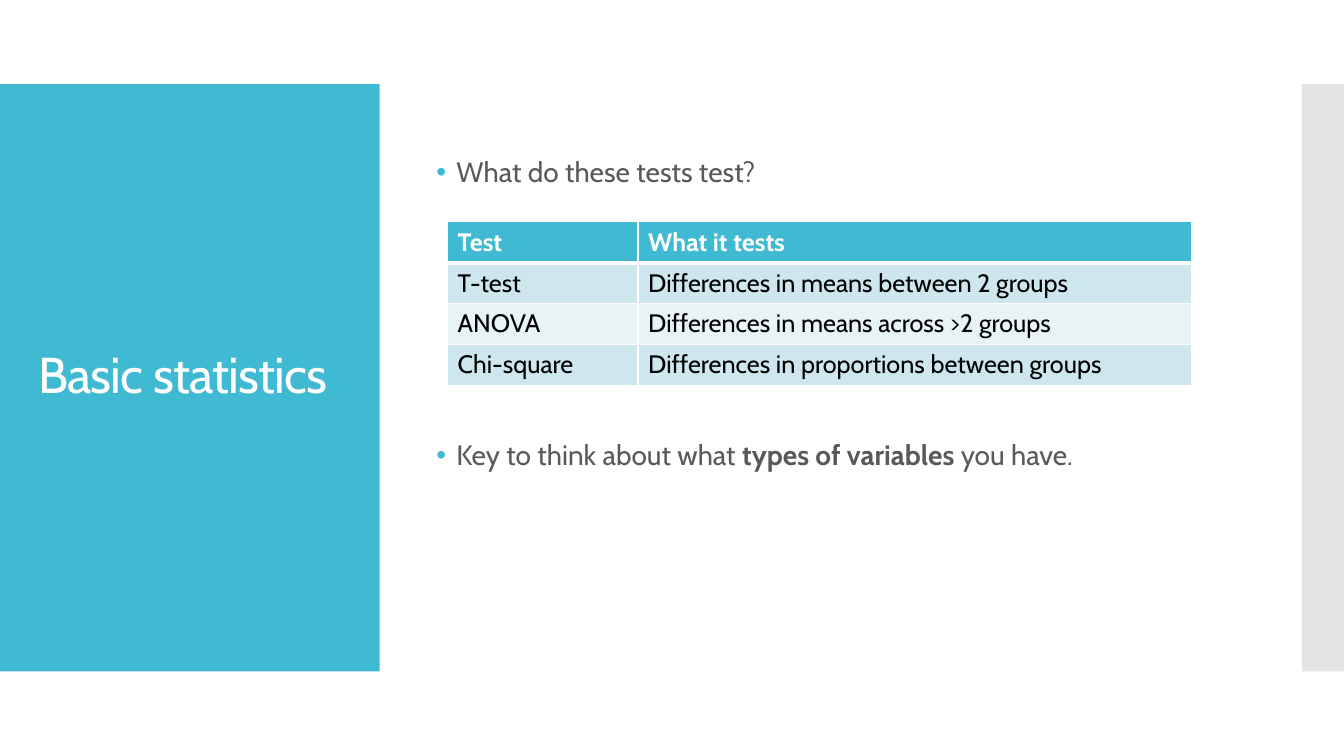
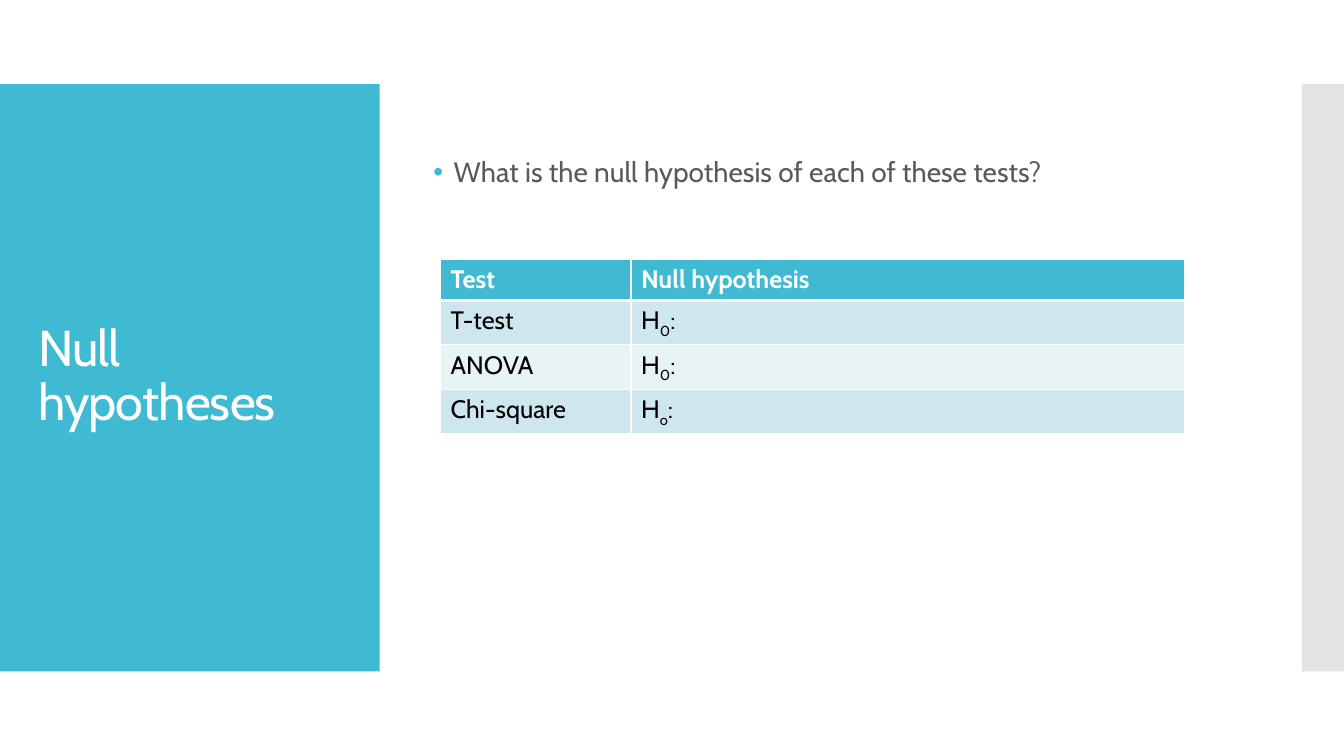
import pptx
import pptx.dml.color
import pptx.enum.shapes
import pptx.enum.text
import pptx.oxml
import pptx.oxml.ns
import pptx.util

Cm = pptx.util.Cm
Pt = pptx.util.Pt
FONT = "Cabin"
COLOURS = {
    "accent": "40BAD2", "edge": "C8C8C8", "white": "FFFFFF", "text": "595959",
    "black": "000000", "odd_row": "CEE6EE", "even_row": "E8F3F6",
}
NAMESPACE = pptx.oxml.ns.nsdecls("a")


def colour(name):
    return pptx.dml.color.RGBColor.from_string(COLOURS[name])


class Deck:
    """Holds the presentation, the shared style and the current slide."""

    title_font = {"name": FONT, "size": Pt(36), "bold": False}
    body_font = {"name": FONT, "size": Pt(20), "bold": False}
    cell_font = {"name": FONT, "size": Pt(18), "bold": False}
    column_widths = (Cm(4.8), Cm(13.95))
    row_height = Cm(1.03)
    band_top, band_height = Cm(2.12), Cm(14.8)

    def __init__(self):
        self.presentation = pptx.Presentation()
        self.presentation.slide_width = Cm(33.87)
        self.presentation.slide_height = Cm(19.05)
        self.slide = None

    def add_slide(self, title):
        layout = self.presentation.slide_layouts[1]
        self.slide = self.presentation.slides.add_slide(layout)
        self.add_band(Cm(0), Cm(9.57), "accent")
        self.add_band(Cm(32.81), Cm(1.06), "edge", opacity=50)
        self.add_title(title)

    def add_band(self, left, width, fill, opacity=100):
        shape = self.slide.shapes.add_shape(
            pptx.enum.shapes.MSO_SHAPE.RECTANGLE,
            left, self.band_top, width, self.band_height)
        shape.shadow.inherit = False
        shape.line.fill.background()
        shape.fill.solid()
        shape.fill.fore_color.rgb = colour(fill)
        if opacity < 100:
            hex_colour = shape.element.find(".//" + pptx.oxml.ns.qn("a:srgbClr"))
            hex_colour.append(pptx.oxml.parse_xml(
                f'<a:alpha {NAMESPACE} val="{opacity * 1000}"/>'))
        # Bands lie behind the placeholders
        self.slide.shapes.element.insert(2, shape.element)

    def place(self, shape, position, frame_format):
        for name, value in zip(("left", "top", "width", "height"), position):
            setattr(shape, name, value)
        for name, value in frame_format.items():
            setattr(shape.text_frame, name, value)

    def add_run(self, paragraph, text, font_format, font_colour):
        run = paragraph.add_run()
        run.text = text
        for name, value in font_format.items():
            setattr(run.font, name, value)
        run.font.color.rgb = colour(font_colour)
        return run.font._element

    def add_title(self, text):
        shape = self.slide.shapes.title
        self.place(shape, (Cm(0.71), Cm(3.12), Cm(8.18), Cm(12.78)), {
            "word_wrap": True,
            "auto_size": pptx.enum.text.MSO_AUTO_SIZE.NONE,
            "vertical_anchor": pptx.enum.text.MSO_ANCHOR.MIDDLE,
        })
        paragraph = shape.text_frame.paragraphs[0]
        paragraph.alignment = pptx.enum.text.PP_ALIGN.LEFT
        paragraph.line_spacing = 0.9
        properties = self.add_run(paragraph, text, self.title_font, "white")
        properties.set("spc", "-60")

    def add_bullets(self, left, bullets, gap=Pt(0)):
        """Each bullet is a list of (text, bold) pieces."""
        shape = self.slide.placeholders[1]
        self.place(shape, (left, Cm(4), Cm(20.32), Cm(12)), {
            "word_wrap": True,
            "auto_size": pptx.enum.text.MSO_AUTO_SIZE.NONE,
            "vertical_anchor": pptx.enum.text.MSO_ANCHOR.TOP,
            "margin_top": 0,
        })
        for index, pieces in enumerate(bullets):
            frame = shape.text_frame
            paragraph = frame.add_paragraph() if index else frame.paragraphs[0]
            paragraph.line_spacing = 0.9
            paragraph.space_before = gap if index else Pt(0)
            properties = paragraph._p.get_or_add_pPr()
            properties.set("marL", str(Cm(0.51)))
            properties.set("indent", str(-Cm(0.51)))
            for xml in (
                f'<a:buClr {NAMESPACE}><a:srgbClr val="{COLOURS["accent"]}"/></a:buClr>',
                f'<a:buFont {NAMESPACE} typeface="Arial"/>',
                f'<a:buChar {NAMESPACE} char="•"/>',
            ):
                properties.append(pptx.oxml.parse_xml(xml))
            for text, bold in pieces:
                self.add_run(paragraph, text, {**self.body_font, "bold": bold}, "text")

    def add_borders(self, cell, row_index):
        widths = {"lnL": 0.96, "lnR": 0.96,
                  "lnT": 3 if row_index == 1 else 0.96,
                  "lnB": 3 if row_index == 0 else 0.96}
        properties = cell._tc.get_or_add_tcPr()
        for position, (side, width) in enumerate(widths.items()):
            properties.insert(position, pptx.oxml.parse_xml(
                f'<a:{side} {NAMESPACE} w="{Pt(width)}"><a:solidFill>'
                f'<a:srgbClr val="{COLOURS["white"]}"/></a:solidFill></a:{side}>'))

    def add_table(self, left, top, rows):
        """A cell is a text, or a (base, subscript, rest) tuple."""
        table = self.slide.shapes.add_table(
            len(rows), len(self.column_widths), left, top,
            sum(self.column_widths), self.row_height * len(rows)).table
        for column, width in zip(table.columns, self.column_widths):
            column.width = width
        for row_index, row in enumerate(rows):
            table.rows[row_index].height = self.row_height
            header = row_index == 0
            fill = "accent" if header else ("even_row", "odd_row")[row_index % 2]
            for column_index, content in enumerate(row):
                cell = table.cell(row_index, column_index)
                cell.fill.solid()
                cell.fill.fore_color.rgb = colour(fill)
                self.add_borders(cell, row_index)
                pieces = (content,) if isinstance(content, str) else content
                for piece_index, text in enumerate(pieces):
                    properties = self.add_run(
                        cell.text_frame.paragraphs[0], text,
                        {**self.cell_font, "bold": header},
                        "white" if header else "black")
                    if piece_index == 1:
                        properties.set("baseline", "-25000")


def main():
    deck = Deck()

    # Basic statistics
    deck.add_slide("Basic statistics")
    deck.add_bullets(Cm(10.74), [
        [("What do these tests test?", False)],
        [("Key to think about what ", False), ("types of variables ", True),
         ("you have.", False)],
    ], gap=Pt(180))
    deck.add_table(Cm(11.28), Cm(5.59), [
        ("Test", "What it tests"),
        ("T-test", "Differences in means between 2 groups"),
        ("ANOVA", "Differences in means across >2 groups"),
        ("Chi-square", "Differences in proportions between groups"),
    ])

    # Null hypotheses
    deck.add_slide("Null hypotheses")
    deck.add_bullets(Cm(10.67), [
        [("What is the null hypothesis of each of these tests?", False)],
    ])
    deck.add_table(Cm(11.1), Cm(6.54), [
        ("Test", "Null hypothesis"),
        ("T-test", ("H", "0", ":")),
        ("ANOVA", ("H", "0", ":")),
        ("Chi-square", ("H", "o", ":")),
    ])

    deck.presentation.save("out.pptx")


if __name__ == "__main__":
    main()
